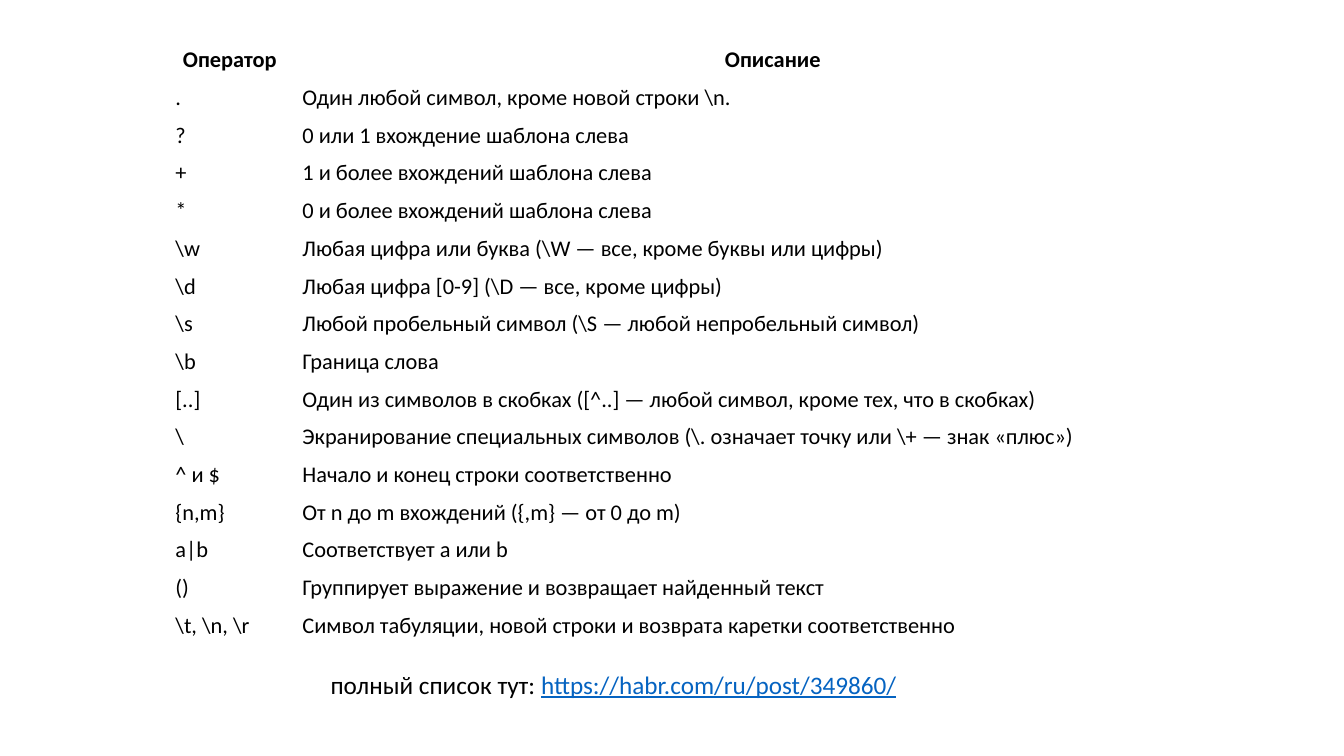
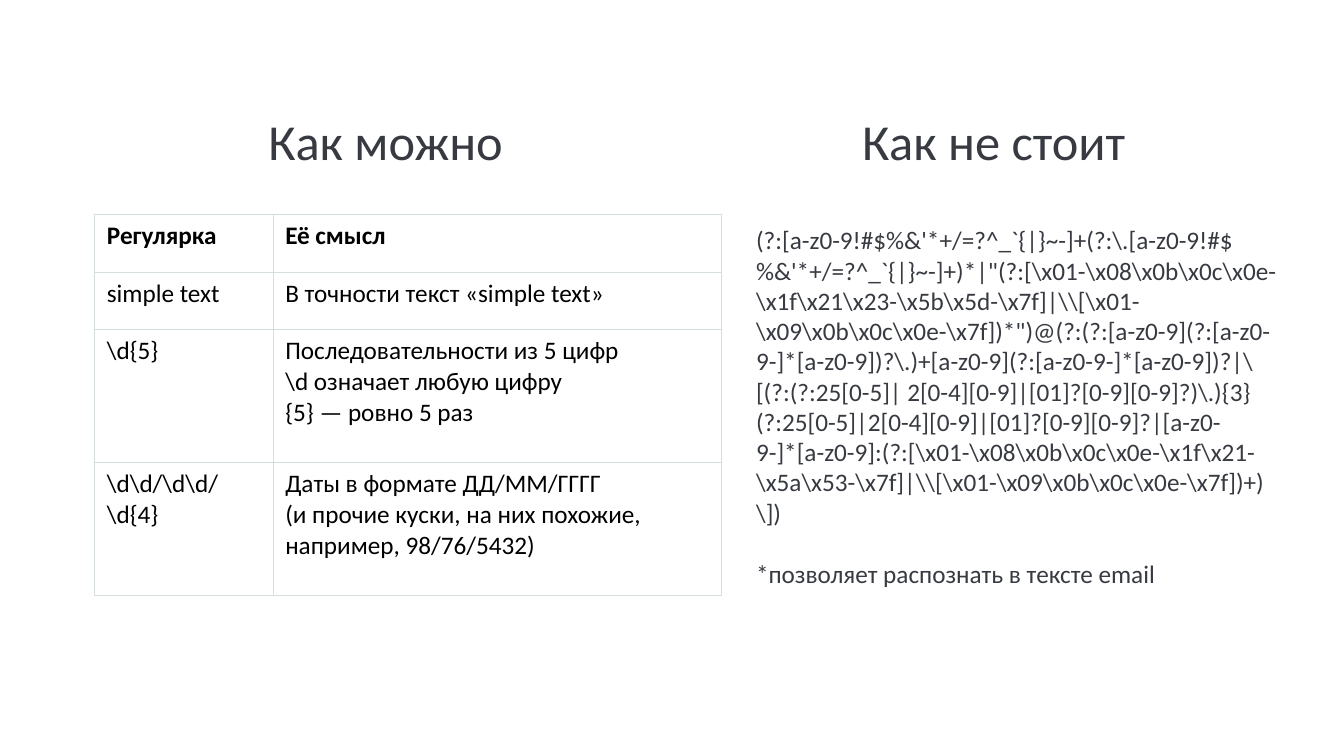
import lxml.etree
import pptx
import pptx.dml.color
import pptx.enum.text
import pptx.oxml
import pptx.oxml.ns
import pptx.util

Inches = pptx.util.Inches
ALIGN = pptx.enum.text.PP_ALIGN
ANCHOR = pptx.enum.text.MSO_ANCHOR

COLORS = {
    "white": "FFFFFF",
    "text": "000000",
    "slate": "383A42",
    "link": "0563C1",
    "grid": "D5DDDF",
}
FONT = "Calibri"

OPERATORS = [
    ("Оператор", "Описание"),
    (".", r"Один любой символ, кроме новой строки \n."),
    ("?", "0 или 1 вхождение шаблона слева"),
    ("+", "1 и более вхождений шаблона слева"),
    ("*", "0 и более вхождений шаблона слева"),
    (r"\w", r"Любая цифра или буква (\W — все, кроме буквы или цифры)"),
    (r"\d", r"Любая цифра [0-9] (\D — все, кроме цифры)"),
    (r"\s", r"Любой пробельный символ (\S — любой непробельный символ)"),
    (r"\b", "Граница слова"),
    ("[..]", "Один из символов в скобках ([^..] — любой символ, кроме тех, что в скобках)"),
    ("\\", r"Экранирование специальных символов (\. означает точку или \+ — знак «плюс»)"),
    ("^ и $", "Начало и конец строки соответственно"),
    ("{n,m}", "От n до m вхождений ({,m} — от 0 до m)"),
    ("a|b", "Соответствует a или b"),
    ("()", "Группирует выражение и возвращает найденный текст"),
    (r"\t, \n, \r", "Символ табуляции, новой строки и возврата каретки соответственно"),
]

EXAMPLES = [
    ("Регулярка", "Её смысл"),
    ("simple text", "В точности текст «simple text»"),
    (r"\d{5}", "Последовательности из 5 цифр\n\\d означает любую цифру\n{5} — ровно 5 раз"),
    (r"\d\d/\d\d/\d{4}",
     "Даты в формате ДД/ММ/ГГГГ\n(и прочие куски, на них похожие, например, 98/76/5432)"),
]

EMAIL_PATTERN = (
    r"(?:[a-z0-9!#$%&'*+/=?^_`{|}~-]+(?:\.[a-z0-9!#$%&'*+/=?^_`{|}~-]+)*|"
    r'"(?:[\x01-\x08\x0b\x0c\x0e-\x1f\x21\x23-\x5b\x5d-\x7f]|\\[\x01-\x09\x0b\x0c\x0e-\x7f])*")'
    r"@(?:(?:[a-z0-9](?:[a-z0-9-]*[a-z0-9])?\.)+[a-z0-9](?:[a-z0-9-]*[a-z0-9])?|"
    r"\[(?:(?:25[0-5]| 2[0-4][0-9]|[01]?[0-9][0-9]?)\.){3}"
    r"(?:25[0-5]|2[0-4][0-9]|[01]?[0-9][0-9]?|[a-z0-9-]*[a-z0-9]:"
    r"(?:[\x01-\x08\x0b\x0c\x0e-\x1f\x21-\x5a\x53-\x7f]|\\[\x01-\x09\x0b\x0c\x0e-\x7f])+)\])"
)


def rgb(color):
    return pptx.dml.color.RGBColor.from_string(COLORS[color])


def format_runs(paragraph, size, color="text", **font_values):
    values = {"name": FONT, "size": pptx.util.Pt(size), **font_values}
    for run in paragraph.runs:
        for name, value in values.items():
            setattr(run.font, name, value)
        run.font.color.rgb = rgb(color)


def add_text(slide, box, paragraphs, size, color="text", wrap=True, align=None, gap=0):
    """Add a text box whose paragraphs are separated by gap points."""
    frame = slide.shapes.add_textbox(*map(Inches, box)).text_frame
    frame.word_wrap = wrap
    frame.auto_size = pptx.enum.text.MSO_AUTO_SIZE.SHAPE_TO_FIT_TEXT
    for index, text in enumerate(paragraphs):
        paragraph = frame.add_paragraph() if index else frame.paragraphs[0]
        paragraph.text = text
        paragraph.alignment = align
        if index:
            paragraph.space_before = pptx.util.Pt(gap)
        format_runs(paragraph, size, color)
    return frame


def add_borders(cell, color, width):
    properties = cell._tc.get_or_add_tcPr()
    for index, side in enumerate(("lnL", "lnR", "lnT", "lnB")):
        line = pptx.oxml.parse_xml(
            f'<a:{side} {pptx.oxml.ns.nsdecls("a")} w="{pptx.util.Pt(width)}">'
            f'<a:solidFill><a:srgbClr val="{COLORS[color]}"/></a:solidFill></a:{side}>')
        properties.insert(index, line)


def add_grid(slide, corner, columns, heights, rows, size, margins,
             anchor=ANCHOR.TOP, header_align=None, border=None):
    """Add a white table with a bold first row; margins are left/right, top, bottom."""
    box = (*corner, sum(columns), sum(heights))
    table = slide.shapes.add_table(len(rows), len(columns), *map(Inches, box)).table
    table.first_row = table.horz_banding = False
    for column, width in zip(table.columns, columns):
        column.width = Inches(width)
    side, top, bottom = map(Inches, margins)
    cell_values = {"margin_left": side, "margin_right": side, "margin_top": top,
                   "margin_bottom": bottom, "vertical_anchor": anchor}
    for row_index, (row, height, texts) in enumerate(zip(table.rows, heights, rows)):
        row.height = Inches(height)
        header = row_index == 0
        for cell, text in zip(row.cells, texts):
            for name, value in cell_values.items():
                setattr(cell, name, value)
            cell.fill.solid()
            cell.fill.fore_color.rgb = rgb("white")
            if border:
                add_borders(cell, border, 0.75)
            paragraph = cell.text_frame.paragraphs[0]
            paragraph.text = text.replace("\n", "\v")
            if header:
                paragraph.alignment = header_align
            format_runs(paragraph, size, bold=header)


def add_heading(slide, left, text):
    add_text(slide, (left, 1.04, 5.39, 0.71), [text], 36, "slate", align=ALIGN.CENTER)


def build_operators_slide(slide):
    heights = [5.99 / len(OPERATORS)] * len(OPERATORS)
    add_grid(slide, (1.65, 0.41), (1.26, 9.51), heights, OPERATORS, 16,
             (0.09, 0.05, 0.05), ANCHOR.MIDDLE, ALIGN.CENTER)
    frame = add_text(slide, (3.18, 6.59, 5.91, 0.4), ["полный список тут: "], 18, wrap=False)
    paragraph = frame.paragraphs[0]
    address = paragraph.add_run()
    address.text = "https://habr.com/ru/post/349860/"
    format_runs(paragraph, 18)
    address.font.underline = True
    address.font.color.rgb = rgb("link")


def build_examples_slide(slide):
    add_grid(slide, (0.94, 2.13), (1.77, 4.45), (0.57, 0.57, 1.32, 1.32), EXAMPLES, 18,
             (0.12, 0.06, 0.09), border="grid")
    add_text(slide, (7.4, 2.18, 5.39, 3.74),
             [EMAIL_PATTERN, "*позволяет распознать в тексте email"], 18, "slate", gap=22)
    add_heading(slide, 1.13, "Как можно")
    add_heading(slide, 7.16, "Как не стоит")


def main():
    presentation = pptx.Presentation()
    presentation.slide_width = Inches(13.33)
    presentation.slide_height = Inches(7.5)
    for build_slide in (build_operators_slide, build_examples_slide):
        build_slide(presentation.slides.add_slide(presentation.slide_layouts[6]))
    presentation.save("out.pptx")


if __name__ == "__main__":
    main()
